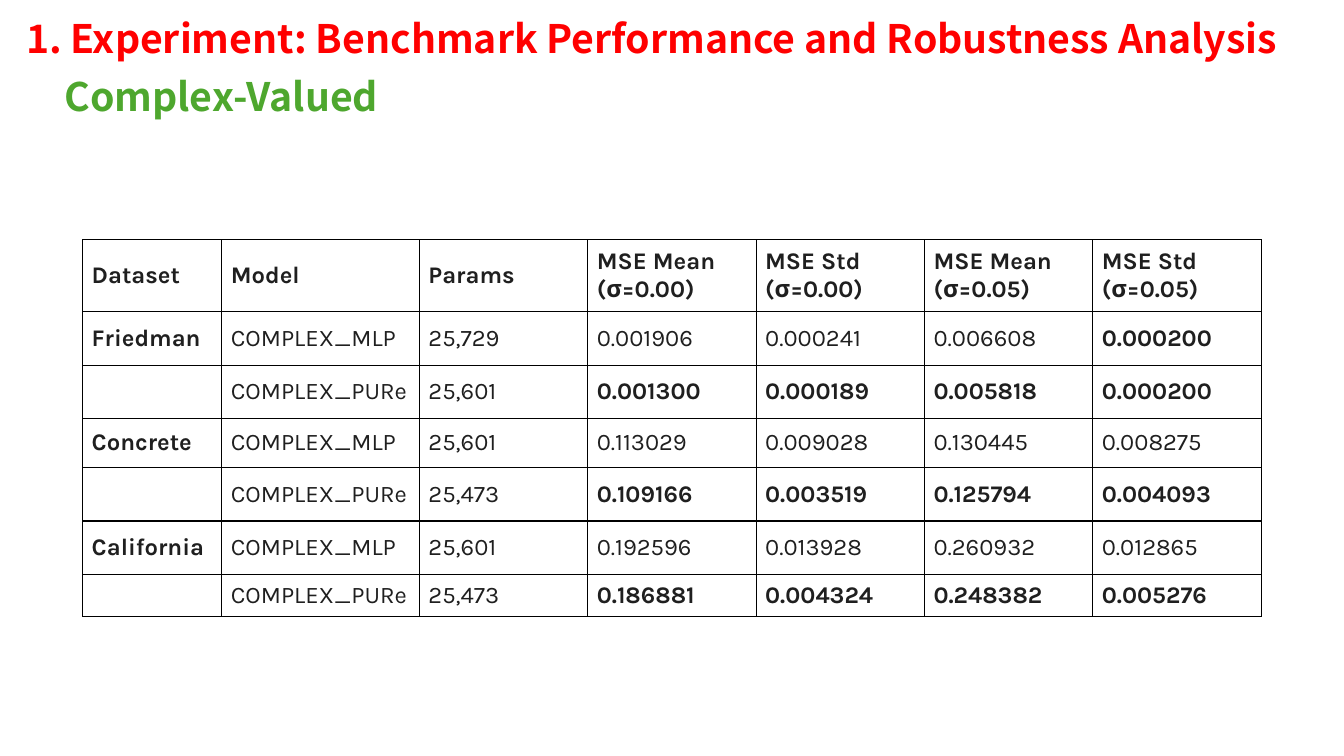
from lxml import etree
from pptx import Presentation, util as u
from pptx.dml.color import RGBColor
from pptx.enum import text
from pptx.oxml import ns

RED = RGBColor(0xFF, 0x00, 0x00)
GREEN = RGBColor(0x4E, 0xA7, 0x2E)
INK = RGBColor(0x1F, 0x1F, 0x1F)
BLACK = RGBColor(0x00, 0x00, 0x00)

HEADINGS = [
    ("1. Experiment: Benchmark Performance and Robustness Analysis", RED, 0.16, 0.09),
    ("Complex-Valued", GREEN, 0.54, 0.67),
]
HEADER = ["Dataset", "Model", "Params"] + [
    f"MSE {statistic} (σ={noise})"
    for noise in ("0.00", "0.05")
    for statistic in ("Mean", "Std")
]
MODELS = ["COMPLEX_MLP", "COMPLEX_PURe"]
RESULTS = {
    "Friedman": [
        ["25,729", "0.001906", "0.000241", "0.006608", "0.000200"],
        ["25,601", "0.001300", "0.000189", "0.005818", "0.000200"],
    ],
    "Concrete": [
        ["25,601", "0.113029", "0.009028", "0.130445", "0.008275"],
        ["25,473", "0.109166", "0.003519", "0.125794", "0.004093"],
    ],
    "California": [
        ["25,601", "0.192596", "0.013928", "0.260932", "0.012865"],
        ["25,473", "0.186881", "0.004324", "0.248382", "0.005276"],
    ],
}
COLUMNS = [1.38, 1.96] + [1.67] * 5
ROWS = [0.71, 0.54, 0.52, 0.49, 0.53, 0.53, 0.42]


def write(frame, words, size, font, color, bold):
    span = frame.paragraphs[0].add_run()
    span.text = words
    span.font.size = u.Pt(size)
    span.font.name = font
    span.font.color.rgb = color
    span.font.bold = bold


def outline(cell):
    properties = cell._tc.get_or_add_tcPr()
    for index, side in enumerate(("lnL", "lnR", "lnT", "lnB")):
        line = etree.Element(ns.qn(f"a:{side}"), w=str(u.Pt(1)))
        fill = etree.SubElement(line, ns.qn("a:solidFill"))
        etree.SubElement(fill, ns.qn("a:srgbClr"), val=str(BLACK))
        properties.insert(index, line)


def table_rows():
    yield [(label, True) for label in HEADER]
    for dataset, runs in RESULTS.items():
        best = [min(column) for column in zip(*runs)]
        for index, (model, values) in enumerate(zip(MODELS, runs)):
            name = dataset if index == 0 else ""
            metrics = [(value, value == low) for value, low in zip(values[1:], best[1:])]
            yield [(name, True), (model, False), (values[0], False)] + metrics


def add_headings(page):
    for words, color, left, top in HEADINGS:
        box = page.shapes.add_textbox(u.Inches(left), u.Inches(top), u.Inches(12.63), u.Inches(0.57))
        box.text_frame.word_wrap = True
        box.text_frame.auto_size = text.MSO_AUTO_SIZE.SHAPE_TO_FIT_TEXT
        write(box.text_frame, words, size=28, font="Noto Sans CJK SC", color=color, bold=True)


def add_results(page):
    table = page.shapes.add_table(
        len(ROWS), len(COLUMNS), u.Inches(0.82), u.Inches(2.38),
        u.Inches(sum(COLUMNS)), u.Inches(sum(ROWS)),
    ).table
    table.first_row = table.horz_banding = False
    for column, width in zip(table.columns, COLUMNS):
        column.width = u.Inches(width)
    for row, height, entries in zip(table.rows, ROWS, table_rows()):
        row.height = u.Inches(height)
        for cell, (words, bold) in zip(row.cells, entries):
            cell.fill.background()
            outline(cell)
            if words:
                cell.vertical_anchor = text.MSO_ANCHOR.MIDDLE
                cell.margin_left = cell.margin_right = u.Inches(0.09)
                cell.margin_top = cell.margin_bottom = u.Inches(0.06)
                write(cell.text_frame, words, size=17, font="Karla", color=INK, bold=bold)


def main():
    deck = Presentation()
    deck.slide_width, deck.slide_height = u.Inches(13.33), u.Inches(7.5)
    page = deck.slides.add_slide(deck.slide_layouts[6])
    add_headings(page)
    add_results(page)
    deck.save("out.pptx")


if __name__ == "__main__":
    main()
